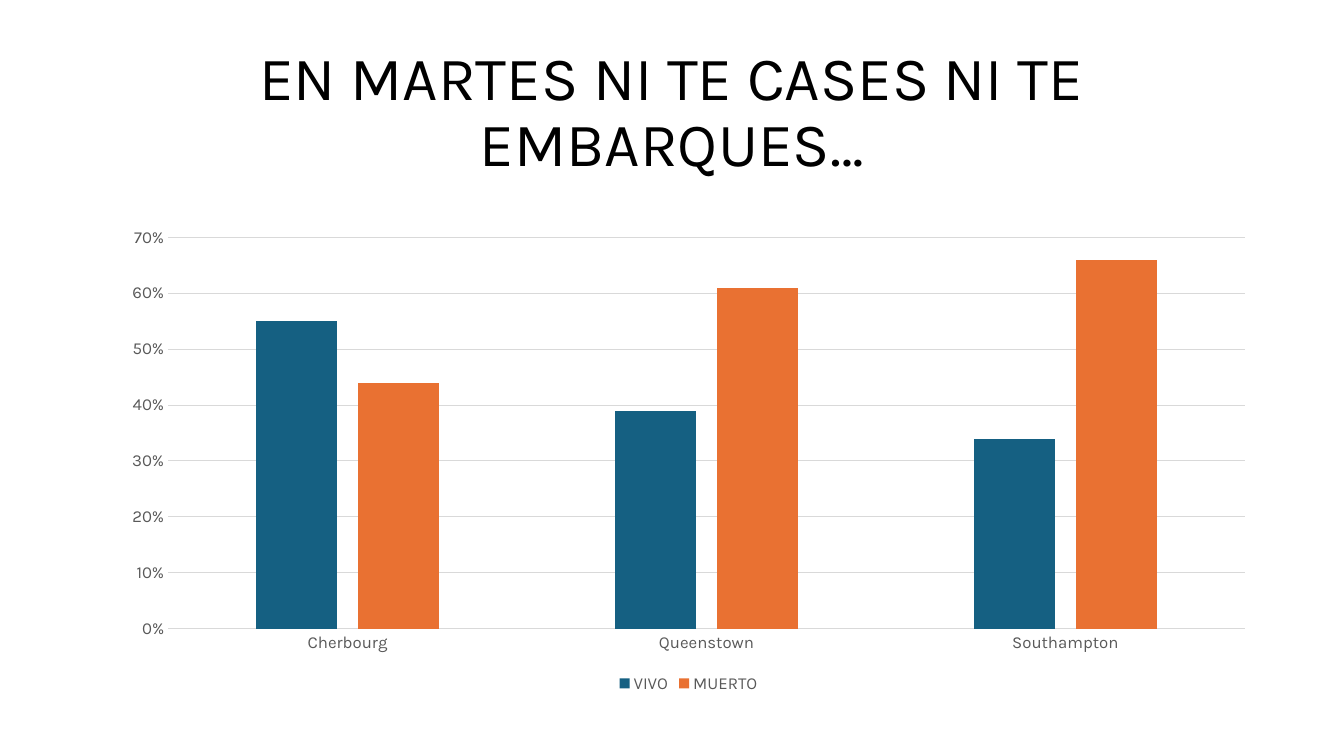
from pptx import Presentation
from pptx.chart.data import CategoryChartData
from pptx.dml.color import RGBColor
from pptx.enum.chart import XL_CHART_TYPE, XL_LEGEND_POSITION, XL_TICK_MARK
from pptx.enum.text import MSO_ANCHOR, PP_ALIGN
from pptx.util import Pt

BLACK = RGBColor(0x00, 0x00, 0x00)
GRAY = RGBColor(0x59, 0x59, 0x59)
RULE = RGBColor(0xD9, 0xD9, 0xD9)
BLUE = RGBColor(0x15, 0x60, 0x82)
ORANGE = RGBColor(0xE9, 0x71, 0x32)

PORTS = ["Cherbourg", "Queenstown", "Southampton"]
RATES = [
    ("VIVO", [0.55, 0.39, 0.34], BLUE),
    ("MUERTO", [0.44, 0.61, 0.66], ORANGE),
]


class Page:
    face = "Karla"

    def __init__(self, slide):
        self.slide = slide

    def style(self, font, size, color):
        font.name = self.face
        font.size = Pt(size)
        font.color.rgb = color

    def rule(self, line):
        line.color.rgb = RULE
        line.width = Pt(0.75)

    def title(self, words, left, top, width, height):
        box = self.slide.shapes.add_textbox(Pt(left), Pt(top), Pt(width), Pt(height))
        frame = box.text_frame
        frame.word_wrap = True
        frame.vertical_anchor = MSO_ANCHOR.MIDDLE
        para = frame.paragraphs[0]
        para.alignment = PP_ALIGN.CENTER
        para.line_spacing = 0.9
        run = para.add_run()
        run.text = words
        self.style(run.font, 44, BLACK)

    def columns(self, names, rows, left, top, width, height):
        data = CategoryChartData(number_format="0%")
        data.categories = names
        for name, vals, _ in rows:
            data.add_series(name, vals)
        chart = self.slide.shapes.add_chart(
            XL_CHART_TYPE.COLUMN_CLUSTERED,
            Pt(left), Pt(top), Pt(width), Pt(height), data).chart
        self.style(chart.font, 10, BLACK)
        chart.has_title = False

        # Columns
        plot = chart.plots[0]
        plot.gap_width = 219
        plot.overlap = -27
        plot.vary_by_categories = False
        for bars, (_, _, color) in zip(plot.series, rows):
            bars.format.fill.solid()
            bars.format.fill.fore_color.rgb = color
            bars.invert_if_negative = False

        # Axes
        for axis in (chart.category_axis, chart.value_axis):
            axis.major_tick_mark = XL_TICK_MARK.NONE
            axis.minor_tick_mark = XL_TICK_MARK.NONE
            self.style(axis.tick_labels.font, 12, GRAY)
        self.rule(chart.category_axis.format.line)
        scale = chart.value_axis
        scale.minimum_scale = 0
        scale.maximum_scale = 0.7
        scale.major_unit = 0.1
        scale.format.line.fill.background()
        scale.has_major_gridlines = True
        self.rule(scale.major_gridlines.format.line)
        scale.tick_labels.number_format = "0%"
        scale.tick_labels.number_format_is_linked = False

        # Legend
        chart.has_legend = True
        chart.legend.position = XL_LEGEND_POSITION.BOTTOM
        chart.legend.include_in_layout = False
        self.style(chart.legend.font, 12, GRAY)


def main():
    deck = Presentation()
    deck.slide_width = Pt(960)
    deck.slide_height = Pt(540)
    page = Page(deck.slides.add_slide(deck.slide_layouts[6]))
    page.title("EN MARTES NI TE CASES NI TE EMBARQUES…", 66, 28.8, 828, 104.4)
    page.columns(PORTS, RATES, 77.8, 155.5, 828, 342.7)
    deck.save("out.pptx")


if __name__ == "__main__":
    main()
